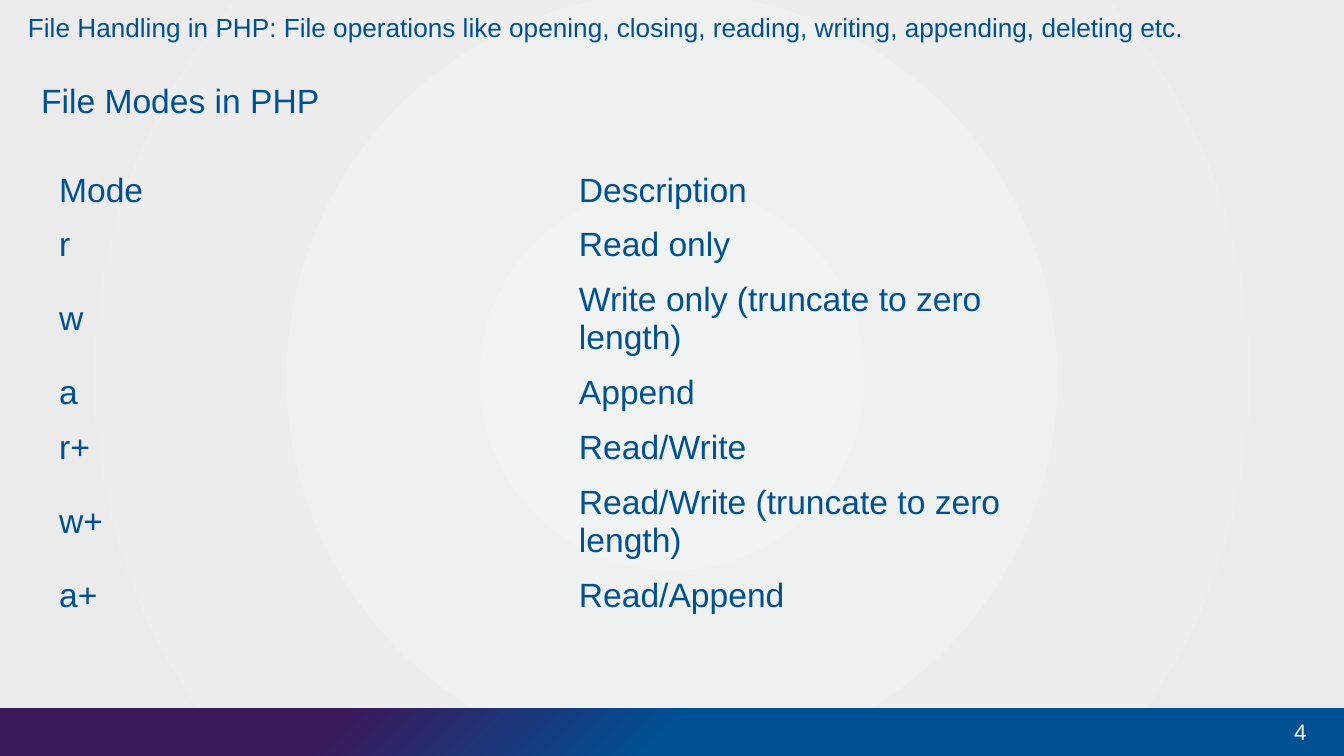
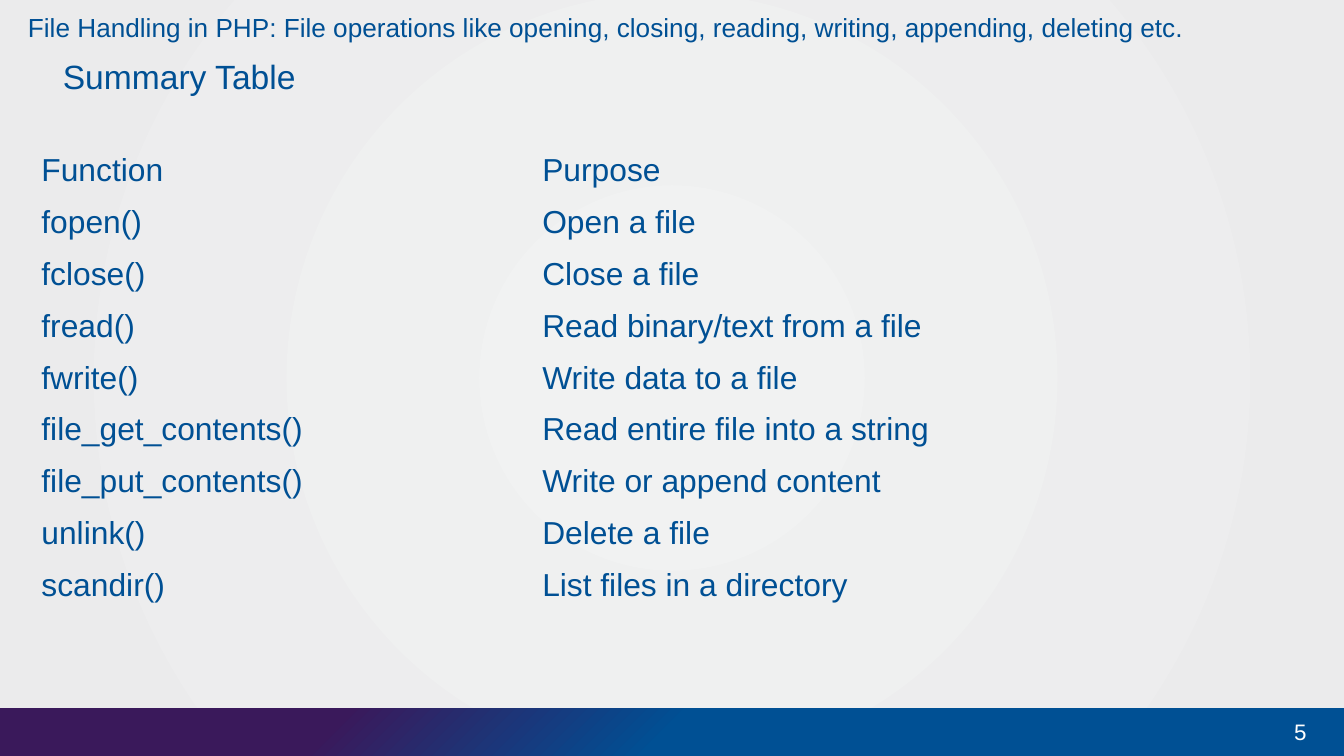
from dataclasses import dataclass

from lxml import etree
from pptx import Presentation
from pptx.dml.color import RGBColor
from pptx.enum import shapes, text
from pptx.oxml import ns
from pptx.util import Pt


@dataclass(frozen=True)
class Theme:
    font: str = "Arial"
    blue: str = "005094"
    purple: str = "3A195B"
    white: str = "FFFFFF"
    centre_grey: str = "F1F2F2"
    edge_grey: str = "EBEBEC"
    title_size: float = 14
    heading_size: float = 18
    number_size: float = 12


@dataclass(frozen=True)
class Box:
    left: float
    top: float
    width: float
    height: float

    def lengths(self):
        return [Pt(value) for value in (self.left, self.top, self.width, self.height)]


THEME = Theme()
PAGE = Box(0, 0, 720, 405)
FOOTER = Box(0, 379.3, 720, 25.7)
TITLE = Box(15, 8.6, 628, 18)
TITLE_ONLY_LAYOUT = 5
NO_GRID_STYLE = "{2D5ABB26-0587-4C30-8999-92F81FD0307C}"

TITLE_TEXT = ("File Handling in PHP: File operations like opening, closing, "
              "reading, writing, appending, deleting etc.")
FILE_MODES = [
    ("Mode", "Description"),
    ("r", "Read only"),
    ("w", "Write only (truncate to zero length)"),
    ("a", "Append"),
    ("r+", "Read/Write"),
    ("w+", "Read/Write (truncate to zero length)"),
    ("a+", "Read/Append"),
]
FUNCTIONS = [
    ("Function", "Purpose"),
    ("fopen()", "Open a file"),
    ("fclose()", "Close a file"),
    ("fread()", "Read binary/text from a file"),
    ("fwrite()", "Write data to a file"),
    ("file_get_contents()", "Read entire file into a string"),
    ("file_put_contents()", "Write or append content"),
    ("unlink()", "Delete a file"),
    ("scandir()", "List files in a directory"),
]


def write(frame, words, size, color=THEME.blue, align=text.PP_ALIGN.LEFT, spacing=None):
    paragraph = frame.paragraphs[0]
    paragraph.alignment = align
    paragraph.line_spacing = spacing
    run = paragraph.add_run()
    run.text = words
    run.font.name = THEME.font
    run.font.size = Pt(size)
    run.font.color.rgb = RGBColor.from_string(color)


def add_text(slide, box, words, size, anchor=text.MSO_ANCHOR.TOP, **style):
    frame = slide.shapes.add_textbox(*box.lengths()).text_frame
    frame.word_wrap = True
    frame.vertical_anchor = anchor
    write(frame, words, size, **style)


def set_circle_gradient(properties, stops, focus):
    """Replace the solid fill with a circular gradient around focus (l, t, r, b in %)."""
    solid = properties.find(ns.qn("a:solidFill"))
    gradient = etree.Element(ns.qn("a:gradFill"), rotWithShape="1")
    stop_list = etree.SubElement(gradient, ns.qn("a:gsLst"))
    for position, color in stops:
        stop = etree.SubElement(stop_list, ns.qn("a:gs"), pos=str(position * 1000))
        etree.SubElement(stop, ns.qn("a:srgbClr"), val=color)
    circle = etree.SubElement(gradient, ns.qn("a:path"), {"path": "circle"})
    etree.SubElement(circle, ns.qn("a:fillToRect"),
                     {side: str(value * 1000) for side, value in zip("ltrb", focus)})
    properties.replace(solid, gradient)


def style_master(presentation, slide):
    """Give the master its background and footer band; the band is drawn via a slide."""
    master = presentation.slide_master
    master.background.fill.solid()
    set_circle_gradient(next(master.element.iter(ns.qn("p:bgPr"))),
                        [(0, THEME.centre_grey), (100, THEME.edge_grey)],
                        (50, 50, 50, 50))
    band = slide.shapes.add_shape(shapes.MSO_SHAPE.RECTANGLE, *FOOTER.lengths())
    band.shadow.inherit = False
    band.line.fill.background()
    band.fill.solid()
    set_circle_gradient(band.element.spPr,
                        [(0, THEME.blue), (50, THEME.blue), (75, THEME.purple)],
                        (100, 100, 0, 0))
    master.shapes.element.append(band.element)


def place_title(slide, box):
    title = slide.shapes.title
    title.left, title.top, title.width, title.height = box.lengths()
    frame = title.text_frame
    frame.margin_left = frame.margin_top = frame.margin_right = 0
    frame.margin_bottom = Pt(3.6)
    frame.word_wrap = True
    frame.auto_size = text.MSO_AUTO_SIZE.SHAPE_TO_FIT_TEXT
    frame.vertical_anchor = text.MSO_ANCHOR.MIDDLE
    write(frame, TITLE_TEXT, THEME.title_size, spacing=0.85)


def place_number(slide, footer, number):
    box = Box(footer.left + footer.width - 53.3, footer.top, 40.3, footer.height)
    add_text(slide, box, str(number), THEME.number_size, color=THEME.white,
             anchor=text.MSO_ANCHOR.MIDDLE, align=text.PP_ALIGN.RIGHT)


def place_table(slide, box, rows, size, tall_rows=(), tall_height=0):
    """Fill the box with rows; those not tall share the remaining height equally."""
    frame = slide.shapes.add_table(len(rows), len(rows[0]), *box.lengths())
    table = frame.table
    table.first_row = table.horz_banding = False
    next(frame.element.iter(ns.qn("a:tableStyleId"))).text = NO_GRID_STYLE
    plain_height = (box.height - len(tall_rows) * tall_height) / (len(rows) - len(tall_rows))
    for index, words in enumerate(rows):
        table.rows[index].height = Pt(tall_height if index in tall_rows else plain_height)
        for cell, entry in zip(table.rows[index].cells, words):
            cell.fill.background()
            cell.vertical_anchor = text.MSO_ANCHOR.MIDDLE
            write(cell.text_frame, entry, size)


def fill_table_slide(slide, number, heading, heading_box, rows, table_box, size, **table_options):
    place_title(slide, TITLE)
    place_number(slide, FOOTER, number)
    add_text(slide, heading_box, heading, THEME.heading_size)
    place_table(slide, table_box, rows, size, **table_options)


def main():
    presentation = Presentation()
    presentation.slide_width, presentation.slide_height = PAGE.lengths()[2:]
    layout = presentation.slide_layouts[TITLE_ONLY_LAYOUT]
    modes, summary = [presentation.slides.add_slide(layout) for _ in range(2)]
    style_master(presentation, modes)
    fill_table_slide(modes, 4, "File Modes in PHP", Box(15, 39, 360, 29),
                     FILE_MODES, Box(24.5, 87.6, 557, 245), 18,
                     tall_rows=(2, 5), tall_height=49.8)
    fill_table_slide(summary, 5, "Summary Table", Box(26.6, 26.5, 360, 29),
                     FUNCTIONS, Box(15, 77.6, 536.6, 249.8), 17)
    presentation.save("out.pptx")


if __name__ == "__main__":
    main()
